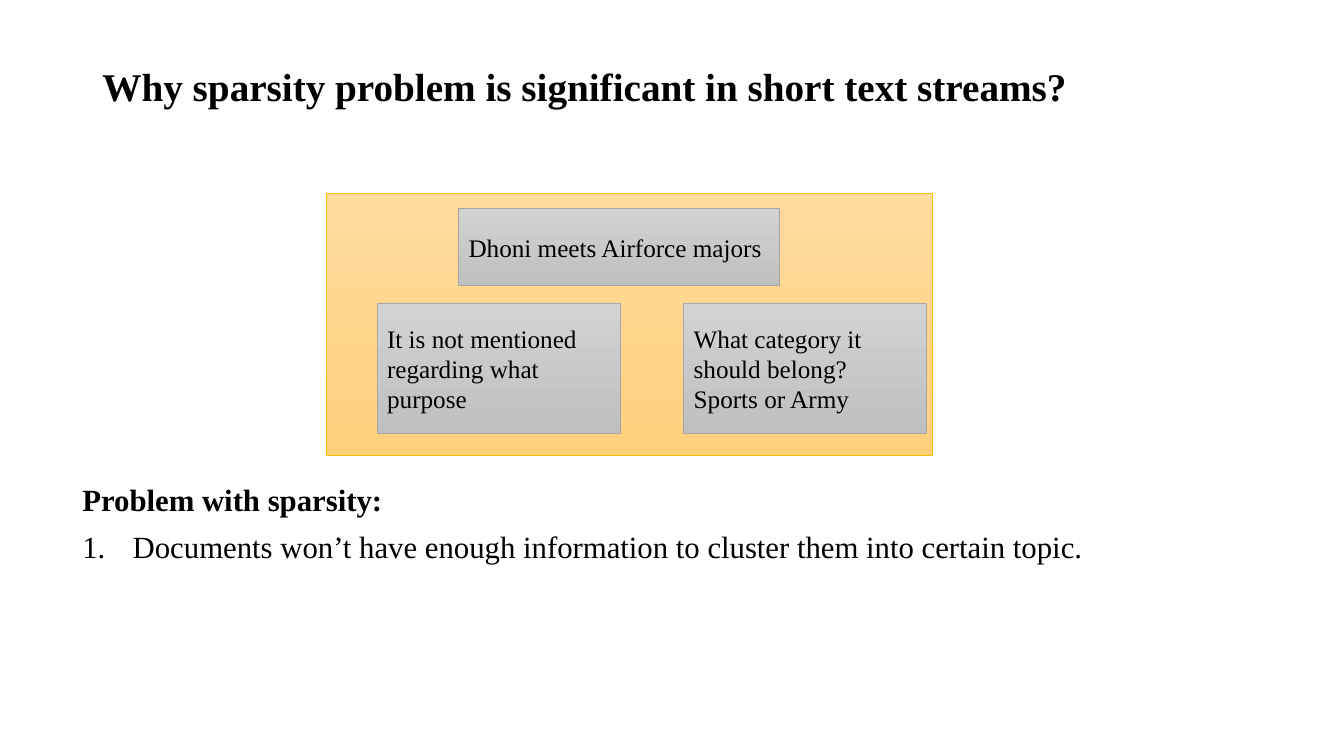
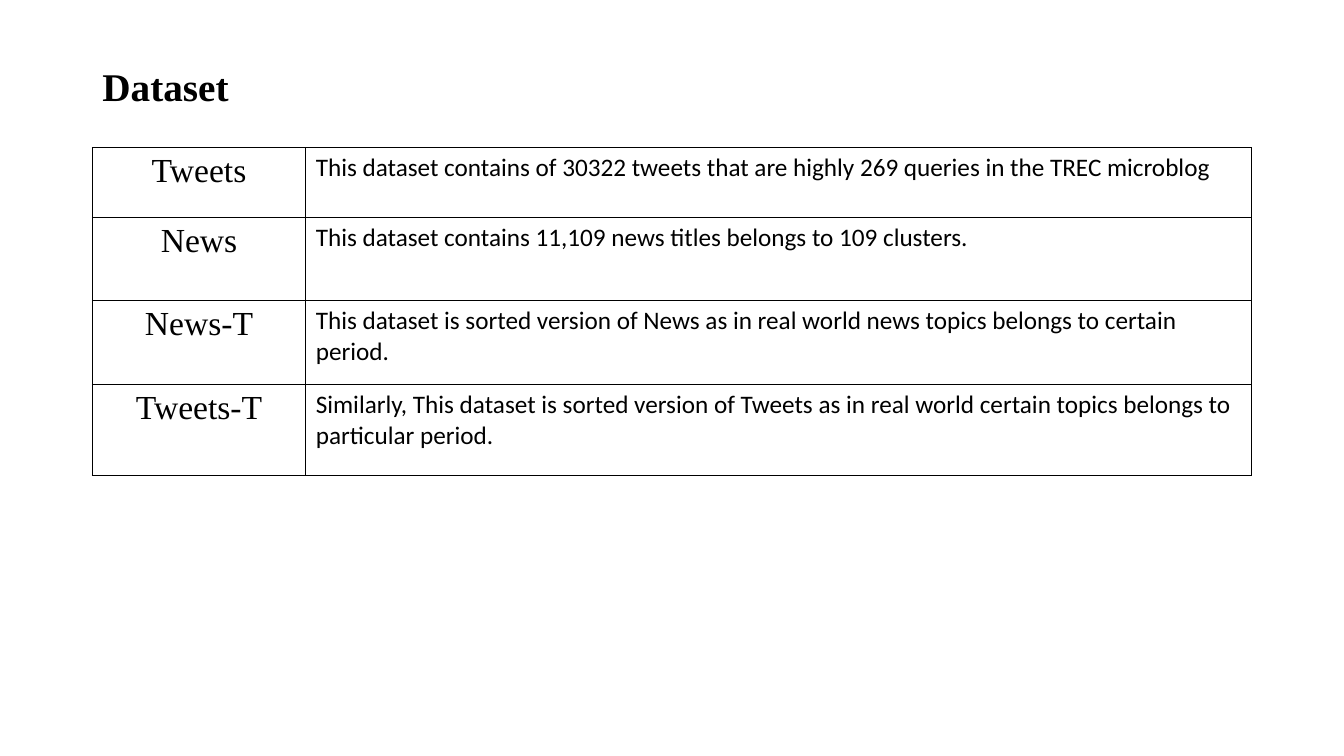
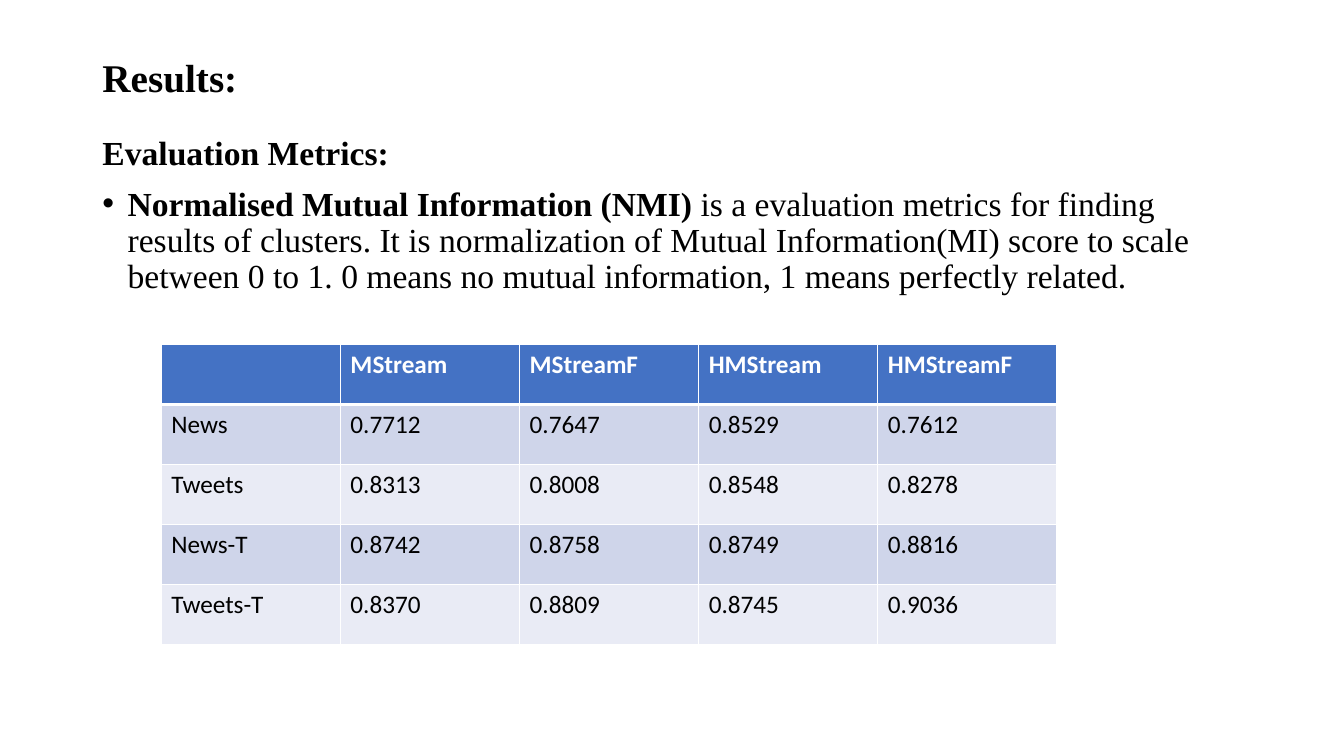
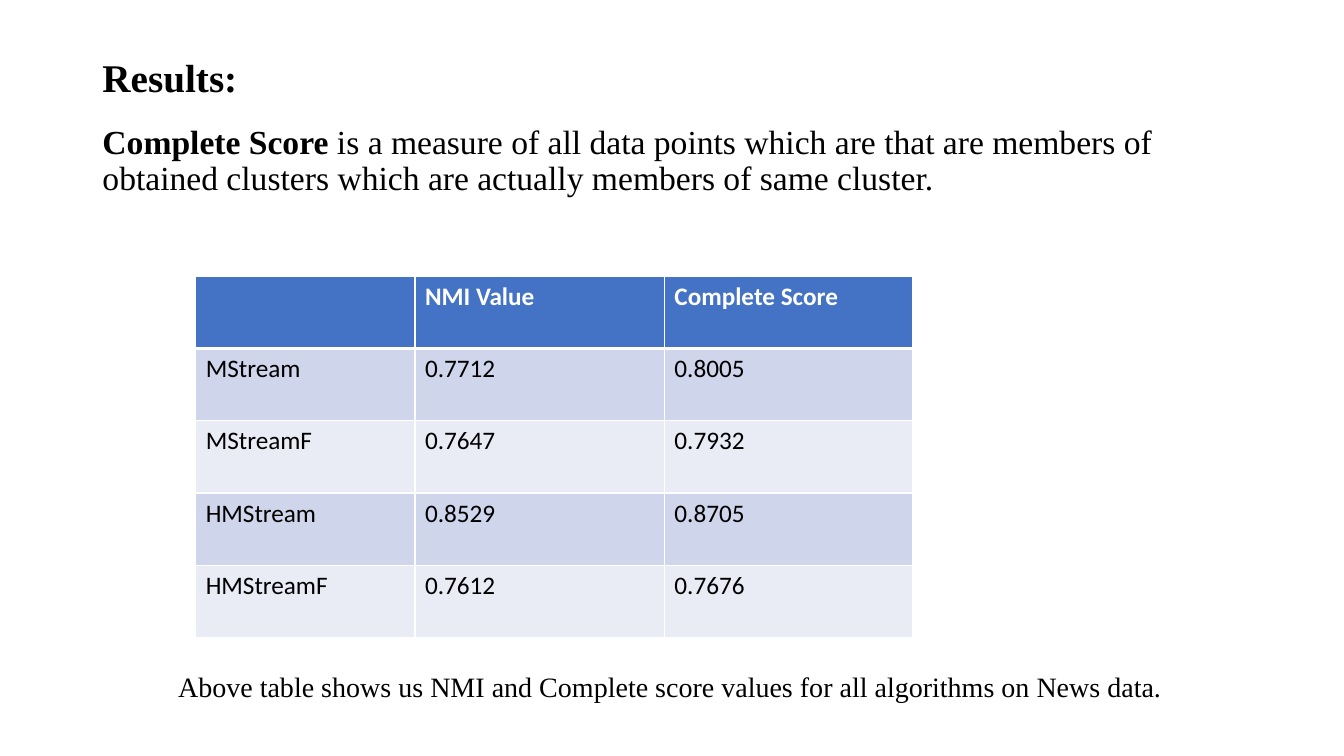
"""Build four slides on sparsity and clustering of short text streams."""
from dataclasses import dataclass
from typing import NamedTuple

from lxml import etree
from pptx import Presentation
from pptx import util as u
from pptx.dml.color import RGBColor
from pptx.enum import shapes, text
from pptx.oxml.ns import qn

COLS, ROWS = 160, 90
CELL = u.Inches(7.5) / ROWS
SERIF, SANS = "Times New Roman", "Calibri"
BLACK, WHITE = "000000", "FFFFFF"
HEADER, BANDS = "4472C4", ("CFD5EA", "E9EBF5")
AMBER, GREY = ("FFDB9E", "FFD07C", "FFC000"), ("D2D2D2", "C0C0C0", "A5A5A5")
LEFT, WIDTH = 11, 138
TITLE_TOP = 4.8


class Box(NamedTuple):
    """Left, top, width and height in grid cells."""
    x: float
    y: float
    w: float
    h: float


@dataclass
class Para:
    """A body paragraph: a bold lead, plain rest and an optional bullet."""
    lead: str
    rest: str = ""
    size: float = 24
    bullet: str = ""
    margin: float = 0
    hang: float = 0
    before: float = 10


@dataclass
class Panel:
    """A gradient rectangle with colours (top, bottom, line) and its lines of text."""
    box: Box
    colors: tuple[str, str, str]
    lines: tuple[str, ...] = ()


def cells(n: float) -> int:
    """Turn grid cells into a length."""
    return u.Emu(round(n * CELL))


def rgb(color: str) -> RGBColor:
    """Turn a hex string into a colour."""
    return RGBColor.from_string(color)


def style(font, name: str, size: float, bold: bool = False, color: str = BLACK) -> None:
    """Set the look of a font."""
    font.name, font.size, font.bold = name, u.Pt(size), bold
    font.color.rgb = rgb(color)


def place(sp, box: Box) -> None:
    """Move a shape to a box of the grid."""
    sp.left, sp.top, sp.width, sp.height = map(cells, box)


def set_bullet(p, bullet: str, margin: float, hang: float) -> None:
    """Set the indents and the bullet of a paragraph."""
    pr = p._p.get_or_add_pPr()
    pr.set("marL", str(u.Inches(margin)))
    pr.set("indent", str(u.Inches(-hang)))
    if bullet == "1.":
        etree.SubElement(pr, qn("a:buAutoNum"), type="arabicPeriod")
    elif bullet:
        etree.SubElement(pr, qn("a:buChar"), char=bullet)
    else:
        etree.SubElement(pr, qn("a:buNone"))


def add_slide(prs, title: str, title_height: float, body_box: Box | None = None,
              paras: tuple[Para, ...] = ()):
    """Add a slide with its title and, if given, its body text."""
    s = prs.slides.add_slide(prs.slide_layouts[1 if body_box else 5])
    place(s.shapes.title, Box(LEFT, TITLE_TOP, WIDTH, title_height))
    tf = s.shapes.title.text_frame
    tf.auto_size = text.MSO_AUTO_SIZE.NONE
    tf.vertical_anchor = text.MSO_ANCHOR.MIDDLE
    p = tf.paragraphs[0]
    p.text, p.alignment, p.line_spacing = title, text.PP_ALIGN.LEFT, 0.9
    style(p.font, SERIF, 28, True)
    if body_box:
        body = s.placeholders[1]
        place(body, body_box)
        body.text_frame.auto_size = text.MSO_AUTO_SIZE.NONE
        for i, para in enumerate(paras):
            add_para(body.text_frame, para, i == 0)
    return s


def add_para(tf, para: Para, first: bool) -> None:
    """Write one paragraph of body text."""
    p = tf.paragraphs[0] if first else tf.add_paragraph()
    p.line_spacing, p.space_before = 0.9, u.Pt(para.before)
    set_bullet(p, para.bullet, para.margin, para.hang)
    style(p.font, SERIF, para.size)
    for words, bold in ((para.lead, True), (para.rest, False)):
        if words:
            r = p.add_run()
            r.text = words
            style(r.font, SERIF, para.size, bold)


def add_panel(s, panel: Panel) -> None:
    """Draw a gradient rectangle with left-aligned text."""
    sp = s.shapes.add_shape(shapes.MSO_SHAPE.RECTANGLE, *map(cells, panel.box))
    sp.shadow.inherit = False
    sp.fill.gradient()
    sp.fill.gradient_angle = 270
    for stop, color in zip(sp.fill.gradient_stops, panel.colors):
        stop.color.rgb = rgb(color)
    sp.line.color.rgb, sp.line.width = rgb(panel.colors[2]), u.Pt(0.5)
    tf = sp.text_frame
    tf.word_wrap, tf.vertical_anchor = True, text.MSO_ANCHOR.MIDDLE
    for i, line in enumerate(panel.lines):
        p = tf.add_paragraph() if i else tf.paragraphs[0]
        p.text, p.alignment = line, text.PP_ALIGN.LEFT
        style(p.font, SERIF, 18)


def set_borders(cell, color: str, bottom: float = 1, top: float = 1) -> None:
    """Draw the four borders of a table cell."""
    pr = cell._tc.get_or_add_tcPr()
    for side, width in (("L", 1), ("R", 1), ("T", top), ("B", bottom)):
        ln = etree.SubElement(pr, qn(f"a:ln{side}"), w=str(u.Pt(width)))
        fill = etree.SubElement(ln, qn("a:solidFill"))
        etree.SubElement(fill, qn("a:srgbClr"), val=color)


def add_grid(s, x: float, y: float, widths: list[float], heights: list[float], rows):
    """Add a table of the given column widths and row heights, filled with text."""
    box = Box(x, y, sum(widths), sum(heights))
    table = s.shapes.add_table(len(heights), len(widths), *map(cells, box)).table
    for col, w in zip(table.columns, widths):
        col.width = cells(w)
    for row, h, words in zip(table.rows, heights, rows):
        row.height = cells(h)
        for cell, word in zip(row.cells, words):
            cell.text = word
    return table


def add_scores(s, x: float, y: float, widths: list[float], height: float, rows) -> None:
    """Add a banded table of scores with a header row."""
    table = add_grid(s, x, y, widths, [height] * len(rows), rows)
    for i, row in enumerate(table.rows):
        head = i == 0
        for cell in row.cells:
            set_borders(cell, WHITE, 3 if head else 1, 3 if i == 1 else 1)
            cell.fill.solid()
            cell.fill.fore_color.rgb = rgb(HEADER if head else BANDS[(i - 1) % 2])
            style(cell.text_frame.paragraphs[0].font, SANS, 18, head, WHITE if head else BLACK)


def add_datasets(s, rows) -> None:
    """Add the plain table of dataset names and descriptions."""
    table = add_grid(s, LEFT, 17.6, [25.4, 112.6], [8.3, 9.85, 10.05, 10.8], rows)
    table.first_row = table.horz_banding = False
    for row in table.rows:
        for cell, font, size in zip(row.cells, (SERIF, SANS), (24, 18)):
            set_borders(cell, BLACK)
            cell.fill.background()
            style(cell.text_frame.paragraphs[0].font, font, size)
        row.cells[0].text_frame.paragraphs[0].alignment = text.PP_ALIGN.CENTER


def main() -> None:
    """Build and save the presentation."""
    prs = Presentation()
    prs.slide_width, prs.slide_height = cells(COLS), cells(ROWS)

    s = add_slide(prs, "Why sparsity problem is significant in short text streams?", 11.6,
                  Box(8.6, 57.1, WIDTH, 20), (
                      Para("Problem with sparsity:", size=22),
                      Para("", "Documents won’t have enough information to cluster them into "
                           "certain topic.", 22, "1.", 0.5, 0.5)))
    for panel in (
        Panel(Box(38.9, 23, 72.1, 31.2), AMBER),
        Panel(Box(54.6, 24.8, 38.2, 9.2), GREY, ("Dhoni meets Airforce majors",)),
        Panel(Box(44.9, 36.1, 28.9, 15.5), GREY, ("It is not mentioned regarding what purpose",)),
        Panel(Box(81.4, 36.1, 28.9, 15.5), GREY,
              ("What category it should belong?", "Sports or Army")),
    ):
        add_panel(s, panel)

    s = add_slide(prs, "Dataset", 11.6)
    add_datasets(s, (
        ("Tweets", "This dataset contains of 30322 tweets that are highly 269 queries in the "
         "TREC microblog"),
        ("News", "This dataset contains 11,109 news titles belongs to 109 clusters."),
        ("News-T", "This dataset is sorted version of News as in real world news topics belongs "
         "to certain period."),
        ("Tweets-T", "Similarly, This dataset is sorted version of Tweets as in real world "
         "certain topics belongs to particular period."),
    ))

    s = add_slide(prs, "Results:", 9.3, Box(LEFT, 15.7, WIDTH, 68), (
        Para("Evaluation Metrics:"),
        Para("Normalised Mutual Information (NMI) ",
             "is a evaluation metrics for finding results of clusters. It is normalization of "
             "Mutual Information(MI) score to scale between 0 to 1. 0 means no mutual "
             "information, 1 means perfectly related.", bullet="•", margin=0.25, hang=0.25)))
    add_scores(s, 19.2, 41, [21.33] * 5, 7.15, (
        ("", "MStream", "MStreamF", "HMStream", "HMStreamF"),
        ("News", "0.7712", "0.7647", "0.8529", "0.7612"),
        ("Tweets", "0.8313", "0.8008", "0.8548", "0.8278"),
        ("News-T", "0.8742", "0.8758", "0.8749", "0.8816"),
        ("Tweets-T", "0.8370", "0.8809", "0.8745", "0.9036"),
    ))

    s = add_slide(prs, "Results:", 9.5, Box(LEFT, 14.3, WIDTH, 72), (
        Para("Complete Score ",
             "is a measure of all data points which are that are members of obtained clusters "
             "which are actually members of same cluster."),
        Para("", "Above table shows us NMI and Complete score values for all algorithms on "
             "News data.", 20, margin=0.75, before=340)))
    add_scores(s, 23.3, 32.9, [26.1, 29.7, 29.5], 8.6, (
        ("", "NMI Value", "Complete Score"),
        ("MStream", "0.7712", "0.8005"),
        ("MStreamF", "0.7647", "0.7932"),
        ("HMStream", "0.8529", "0.8705"),
        ("HMStreamF", "0.7612", "0.7676"),
    ))
    prs.save("out.pptx")


if __name__ == "__main__":
    main()
